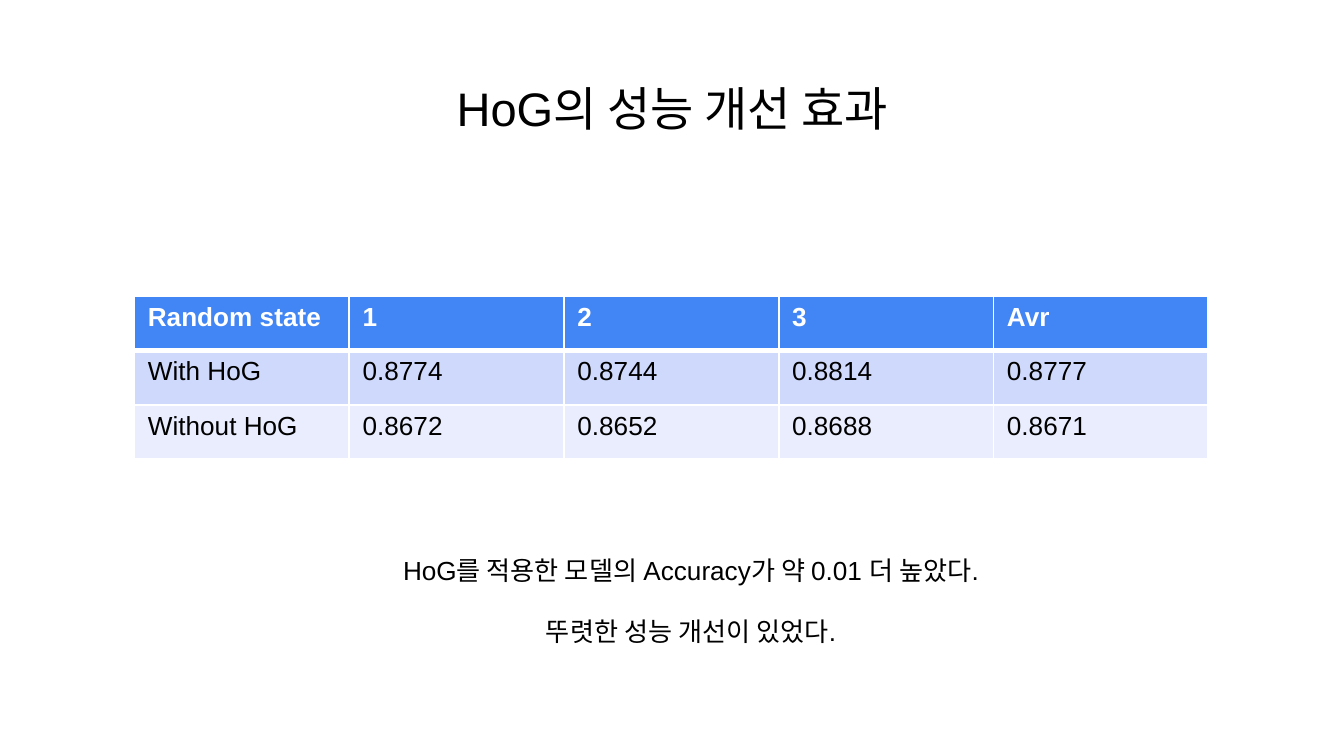
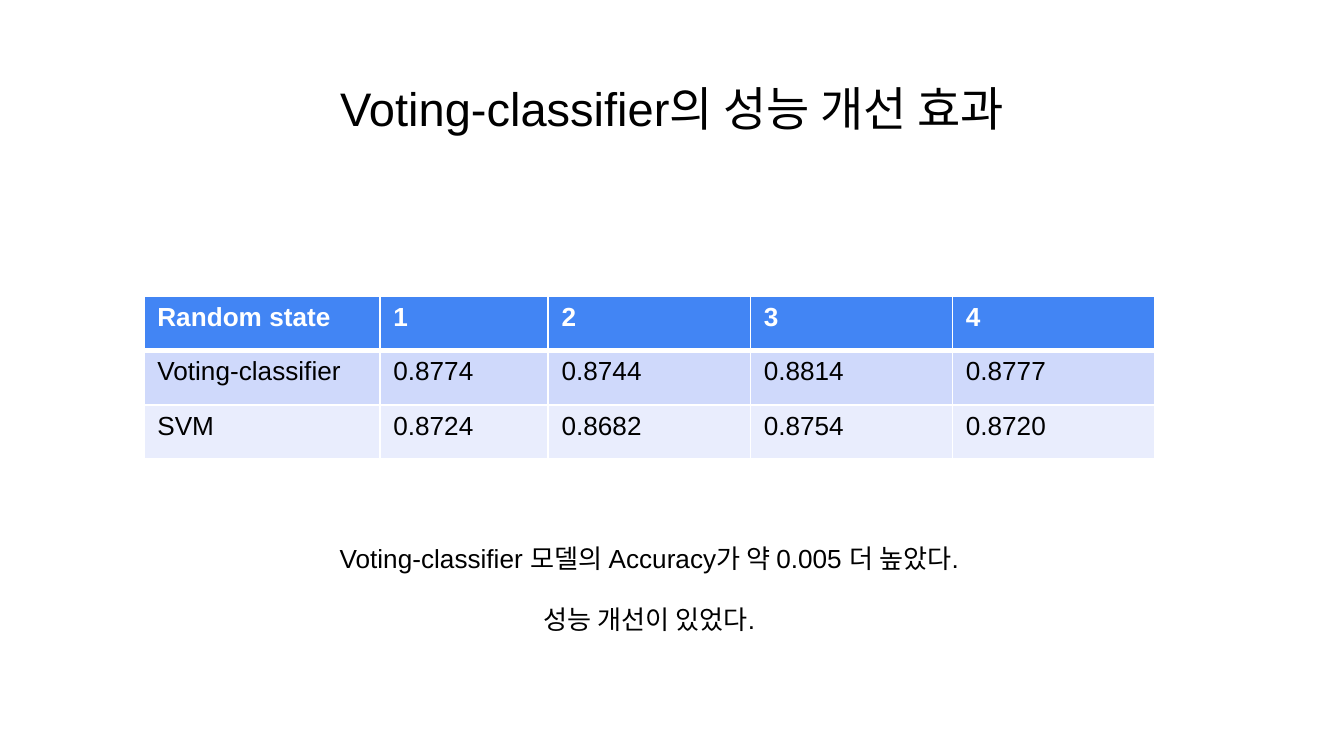
from dataclasses import dataclass

from lxml.etree import SubElement
from pptx import Presentation
from pptx.dml.color import RGBColor
from pptx.enum.text import MSO_ANCHOR, MSO_AUTO_SIZE, PP_ALIGN
from pptx.oxml.ns import qn
from pptx.util import Cm, Pt


@dataclass(frozen=True)
class Theme:
    """Colours, font and type sizes shared by the slides."""

    font: str = "Arial"
    text: str = "000000"
    white: str = "FFFFFF"
    header: str = "4285F4"
    bands: tuple = ("CFD9FB", "E9EDFD")
    title_size: float = 25.2
    body_size: float = 14
    paragraph_gap: float = 16
    cell_line: float = 1
    header_line: float = 3


THEME = Theme()


def format_runs(paragraph, size, colour=THEME.text, bold=False):
    """Apply the theme font, a size, a colour and a weight to each run."""
    for run in paragraph.runs:
        run.font.name = THEME.font
        run.font.size = Pt(size)
        run.font.bold = bold
        run.font.color.rgb = RGBColor.from_string(colour)


def add_title(slide, text):
    """Place and format the slide title."""
    title = slide.shapes.title
    title.left, title.top, title.width, title.height = Cm(0.87), Cm(1.24), Cm(23.67), Cm(1.6)
    frame = title.text_frame
    frame.text = text
    frame.auto_size = MSO_AUTO_SIZE.NONE
    frame.vertical_anchor = MSO_ANCHOR.MIDDLE
    frame.margin_left = frame.margin_right = Cm(0.25)
    frame.margin_top = frame.margin_bottom = Cm(0.25)
    paragraph = frame.paragraphs[0]
    paragraph.alignment = PP_ALIGN.CENTER
    format_runs(paragraph, THEME.title_size)


def add_borders(cell, bottom_width):
    """Draw white lines at the sides and the bottom of a cell."""
    properties = cell._tc.get_or_add_tcPr()
    widths = {"a:lnL": THEME.cell_line, "a:lnR": THEME.cell_line, "a:lnB": bottom_width}
    for tag, width in widths.items():
        line = SubElement(properties, qn(tag), w=str(Pt(width)))
        fill = SubElement(line, qn("a:solidFill"))
        SubElement(fill, qn("a:srgbClr"), val=THEME.white)


def format_cell(cell, text, is_header, fill):
    """Write one table cell with its fill, lines and type."""
    cell.text = text
    add_borders(cell, THEME.header_line if is_header else THEME.cell_line)
    cell.fill.solid()
    cell.fill.fore_color.rgb = RGBColor.from_string(fill)
    colour = THEME.white if is_header else THEME.text
    format_runs(cell.text_frame.paragraphs[0], THEME.body_size, colour, is_header)


def add_accuracy_table(slide, left, column_widths, rows):
    """Add a table with a blue header and banded rows."""
    row_height = Cm(1.03)
    shape = slide.shapes.add_table(
        len(rows), len(column_widths), Cm(left), Cm(5.59),
        Cm(sum(column_widths)), row_height * len(rows),
    )
    table = shape.table
    for column, width in zip(table.columns, column_widths):
        column.width = Cm(width)
    for row_index, values in enumerate(rows):
        table.rows[row_index].height = row_height
        is_header = row_index == 0
        fill = THEME.header if is_header else THEME.bands[(row_index - 1) % 2]
        for column_index, value in enumerate(values):
            format_cell(table.cell(row_index, column_index), value, is_header, fill)


def add_conclusion(slide, left, top, lines):
    """Add the centred closing remarks below the table."""
    shape = slide.shapes.add_textbox(Cm(left), Cm(top), Cm(16.36), Cm(2.06))
    frame = shape.text_frame
    frame.word_wrap = True
    frame.text = "\n".join(lines)
    for paragraph in frame.paragraphs:
        paragraph.alignment = PP_ALIGN.CENTER
        paragraph.space_after = Pt(THEME.paragraph_gap)
        format_runs(paragraph, THEME.body_size)


def add_result_slide(presentation, title, table, conclusion):
    """Add a slide with a title, an accuracy table and a conclusion."""
    slide = presentation.slides.add_slide(presentation.slide_layouts[5])
    add_title(slide, title)
    add_accuracy_table(slide, *table)
    add_conclusion(slide, *conclusion)


def main():
    """Build and save the presentation."""
    presentation = Presentation()
    presentation.slide_width, presentation.slide_height = Cm(25.4), Cm(14.29)
    add_result_slide(
        presentation,
        "HoG의 성능 개선 효과",
        (2.54, [4.06] * 5, [
            ("Random state", "1", "2", "3", "Avr"),
            ("With HoG", "0.8774", "0.8744", "0.8814", "0.8777"),
            ("Without HoG", "0.8672", "0.8652", "0.8688", "0.8671"),
        ]),
        (4.88, 10.36, [
            "HoG를 적용한 모델의 Accuracy가 약 0.01 더 높았다.",
            "뚜렷한 성능 개선이 있었다.",
        ]),
    )
    add_result_slide(
        presentation,
        "Voting-classifier의 성능 개선 효과",
        (2.72, [4.46, 3.18] + [3.82] * 3, [
            ("Random state", "1", "2", "3", "4"),
            ("Voting-classifier", "0.8774", "0.8744", "0.8814", "0.8777"),
            ("SVM", "0.8724", "0.8682", "0.8754", "0.8720"),
        ]),
        (4.09, 10.13, [
            "Voting-classifier 모델의 Accuracy가 약 0.005 더 높았다.",
            "성능 개선이 있었다.",
        ]),
    )
    presentation.save("out.pptx")


if __name__ == "__main__":
    main()
